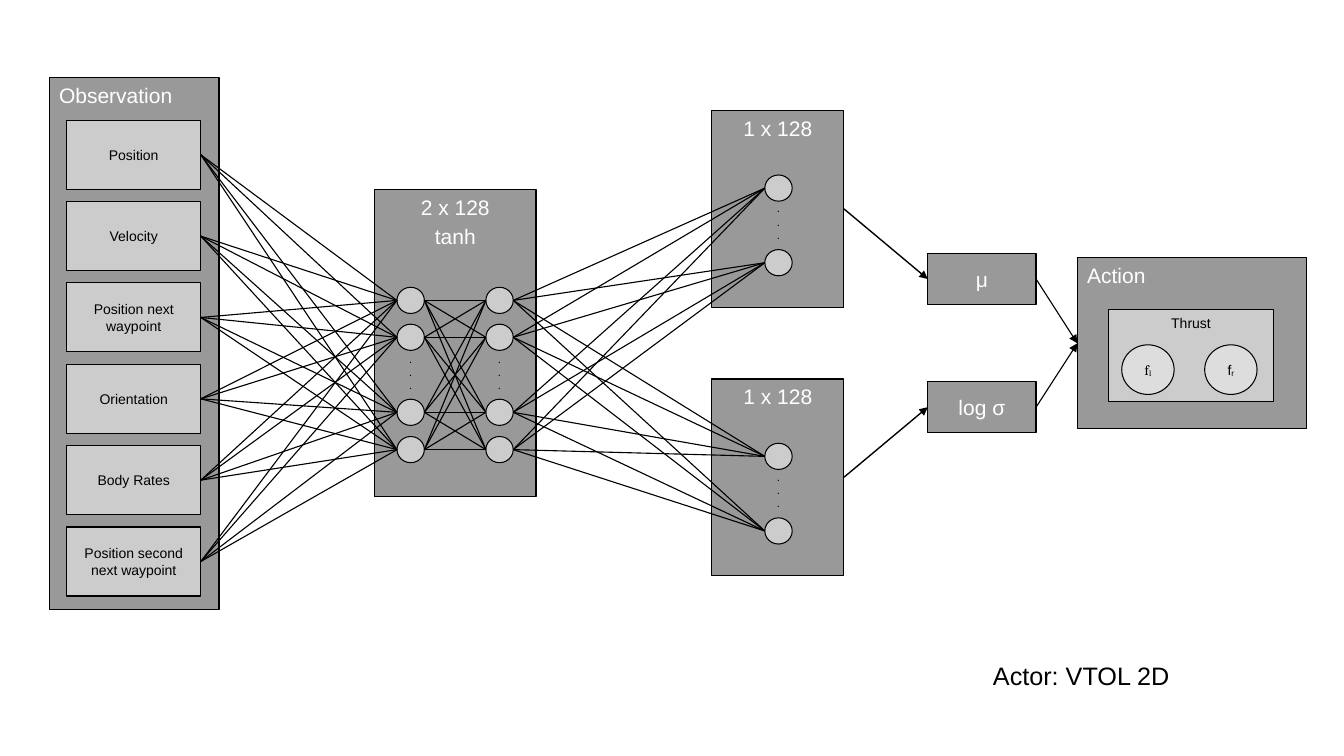
import lxml.etree
import pptx
import pptx.dml.color
import pptx.enum.shapes
import pptx.enum.text
import pptx.oxml.ns
import pptx.util

Cm, Pt = pptx.util.Cm, pptx.util.Pt
ALIGN = pptx.enum.text.PP_ALIGN
ANCHOR = pptx.enum.text.MSO_ANCHOR
RECT = pptx.enum.shapes.MSO_SHAPE.RECTANGLE
OVAL = pptx.enum.shapes.MSO_SHAPE.OVAL

BLACK, WHITE = "000000", "FFFFFF"
DARK, MID, LIGHT = "999999", "CCCCCC", "DDDDDD"
NODE_W, NODE_H = 0.69, 0.66
LINE_W = 0.79

INPUTS = ["Position", "Velocity", "Position next waypoint", "Orientation",
          "Body Rates", "Position second next waypoint"]
INPUT_TOP, INPUT_PITCH = 3.03, 2.05
HIDDEN_XS = [10.35, 12.59]
HIDDEN_YS = [7.57, 8.5, 10.39, 11.33]
HEAD_X = 19.62
HEAD_TOPS = [2.79, 9.55]
HEAD_NODE_OFFSETS = [1.95, 3.83]


def rgb(hex_colour):
    return pptx.dml.color.RGBColor.from_string(hex_colour)


def write(sp, text, size, colour, align=ALIGN.CENTER, anchor=ANCHOR.MIDDLE, font="Arial"):
    tf = sp.text_frame
    tf.text = text
    tf.word_wrap = True
    tf.vertical_anchor = anchor
    for i, p in enumerate(tf.paragraphs):
        p.alignment = align
        p.space_before = Pt(2.9 if i else 0)
        for r in p.runs:
            r.font.name = font
            r.font.size = Pt(size)
            r.font.color.rgb = rgb(colour)


def add_shape(s, kind, left, top, width, height, fill, line_width=LINE_W):
    sp = s.shapes.add_shape(kind, Cm(left), Cm(top), Cm(width), Cm(height))
    sp.shadow.inherit = False
    sp.fill.solid()
    sp.fill.fore_color.rgb = rgb(fill)
    sp.line.color.rgb = rgb(BLACK)
    sp.line.width = Pt(line_width)
    return sp


def add_panel(s, left, top, width, height, text, align=ALIGN.CENTER, anchor=ANCHOR.TOP):
    sp = add_shape(s, RECT, left, top, width, height, DARK)
    write(sp, text, 15, WHITE, align, anchor)
    return sp


def add_field(s, left, top, width, height, text, anchor=ANCHOR.MIDDLE):
    sp = add_shape(s, RECT, left, top, width, height, MID)
    write(sp, text, 10, BLACK, anchor=anchor)
    return sp


def add_node(s, x, y):
    """Add a neuron centred on x, y."""
    return add_shape(s, OVAL, x - NODE_W / 2, y - NODE_H / 2, NODE_W, NODE_H, MID, 0)


def add_dots(s, x, top):
    """Add the vertical ellipsis between neurons."""
    sp = s.shapes.add_textbox(Cm(x - 0.25), Cm(top), Cm(0.5), Cm(1.2))
    tf = sp.text_frame
    tf.margin_left = tf.margin_right = tf.margin_top = tf.margin_bottom = 0
    write(sp, ".\n.\n.", 8, BLACK, anchor=ANCHOR.TOP)
    for p in tf.paragraphs:
        p.space_before = Pt(0)


def add_thrust(s, left, subscript, font):
    sp = add_shape(s, OVAL, left, 8.69, 1.32, 1.25, LIGHT, 0)
    write(sp, "f", 10, BLACK, font=font)
    r = sp.text_frame.paragraphs[0].add_run()
    r.text = subscript
    r.font.name = font
    r.font.size = Pt(10)
    r.font.color.rgb = rgb(BLACK)
    r.font._element.set("baseline", "-8000")


def link(s, source, target, width=LINE_W, arrow=False):
    """Join the right side of source to the left side of target."""
    line = s.shapes.add_connector(
        pptx.enum.shapes.MSO_CONNECTOR.STRAIGHT,
        source.left + source.width, source.top + source.height // 2,
        target.left, target.top + target.height // 2)
    line.line.color.rgb = rgb(BLACK)
    line.line.width = Pt(width)
    qn = pptx.oxml.ns.qn
    if arrow:
        lxml.etree.SubElement(line.line._get_or_add_ln(), qn("a:tailEnd"), type="triangle")
    lxml.etree.SubElement(line._element.spPr, qn("a:effectLst"))


def link_layers(s, sources, targets):
    for source in sources:
        for target in targets:
            link(s, source, target)


def add_title(s, text):
    sp = s.shapes.title
    sp.left, sp.top, sp.width, sp.height = Cm(24.77), Cm(16.51), Cm(6.99), Cm(0.97)
    write(sp, text, 18, BLACK, ALIGN.LEFT, ANCHOR.TOP)
    sp.text_frame.auto_size = pptx.enum.text.MSO_AUTO_SIZE.NONE


def main():
    prs = pptx.Presentation()
    prs.slide_width, prs.slide_height = Cm(33.87), Cm(19.05)
    s = prs.slides.add_slide(prs.slide_layouts.get_by_name("Title Only"))
    add_title(s, "Actor: VTOL 2D")

    add_panel(s, 1.24, 1.96, 4.28, 13.39, "Observation", ALIGN.LEFT)
    inputs = [add_field(s, 1.68, INPUT_TOP + i * INPUT_PITCH, 3.38, 1.74, text)
              for i, text in enumerate(INPUTS)]

    add_panel(s, 9.44, 4.78, 4.07, 7.73, "2 x 128\ntanh")
    hidden = [[add_node(s, x, y) for y in HIDDEN_YS] for x in HIDDEN_XS]
    for x in HIDDEN_XS:
        add_dots(s, x, 8.87)

    heads, head_nodes = [], []
    for top in HEAD_TOPS:
        heads.append(add_panel(s, 17.94, top, 3.33, 4.95, "1 x 128"))
        head_nodes += [add_node(s, HEAD_X, top + dy) for dy in HEAD_NODE_OFFSETS]
        add_dots(s, HEAD_X, top + 2.29)

    outputs = [add_panel(s, 23.38, top, 2.73, 1.3, text, anchor=ANCHOR.MIDDLE)
               for top, text in [(6.38, "μ"), (9.61, "log σ")]]

    action = add_panel(s, 27.15, 6.49, 5.77, 4.32, "Action", ALIGN.LEFT)
    add_field(s, 27.94, 7.8, 4.15, 2.31, "Thrust", ANCHOR.TOP)
    add_thrust(s, 28.27, "l", "Cambria")
    add_thrust(s, 30.36, "r", "Arial")

    layers = [inputs, *hidden, head_nodes]
    for sources, targets in zip(layers, layers[1:]):
        link_layers(s, sources, targets)
    for head, output in zip(heads, outputs):
        link(s, head, output, 1, arrow=True)
        link(s, output, action, arrow=True)

    prs.save("out.pptx")


if __name__ == "__main__":
    main()
